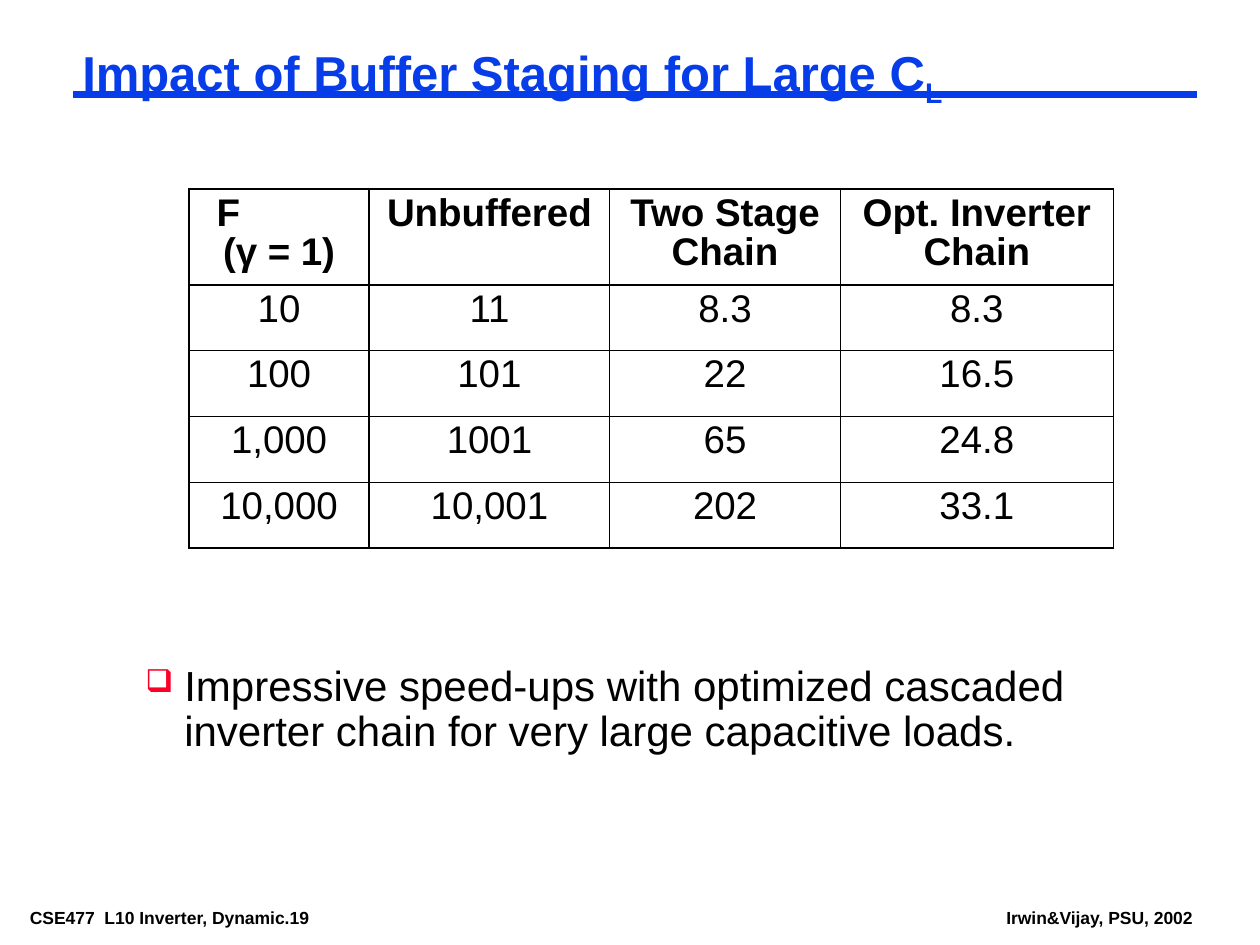
from dataclasses import dataclass
from typing import Optional

from lxml.etree import SubElement
from pptx import Presentation
from pptx.dml.color import RGBColor
from pptx.enum.shapes import MSO_CONNECTOR
from pptx.enum.text import MSO_ANCHOR, PP_ALIGN
from pptx.oxml.ns import qn
from pptx.util import Inches, Pt

BLUE = RGBColor(0x06, 0x3D, 0xE8)
RED = RGBColor(0xFC, 0x01, 0x28)
BLACK = RGBColor(0x00, 0x00, 0x00)
FONT = "Arial"

# The slide is a grid of 120 columns by 90 rows of square units
UNIT = Inches(10) / 120
THICK, THIN = Pt(1.08), Pt(0.45)

HEADERS = ["F\n(γ = 1)", "Unbuffered", "Two Stage Chain", "Opt. Inverter Chain"]
RESULTS = [
    ["10", "11", "8.3", "8.3"],
    ["100", "101", "22", "16.5"],
    ["1,000", "1001", "65", "24.8"],
    ["10,000", "10,001", "202", "33.1"],
]
COLUMN_UNITS = [17.16, 22.92, 21.96, 26]
HEADER_UNITS, RESULT_UNITS = 9.12, 6.26


@dataclass
class TextItem:
    column: float
    row: float
    columns: float
    rows: float
    text: str
    size: float
    color: RGBColor = BLACK
    bold: bool = True
    wrap: bool = True
    spacing: Optional[float] = None
    anchor: MSO_ANCHOR = MSO_ANCHOR.TOP
    subscript: str = ""
    bullet: str = ""


ITEMS = [
    TextItem(2, 86, 34.5, 2.7, "CSE477  L10 Inverter, Dynamic.19", 10, wrap=False),
    TextItem(95, 86, 19.5, 2.7, "Irwin&Vijay, PSU, 2002", 10, wrap=False),
    TextItem(7, 4, 107, 6.2, "Impact of Buffer Staging for Large C", 28, BLUE,
             spacing=0.87, anchor=MSO_ANCHOR.BOTTOM, subscript="L"),
    TextItem(13, 63, 96, 9.4,
             "Impressive speed-ups with optimized cascaded inverter chain "
             "for very large capacitive loads.", 24, bold=False,
             spacing=0.9, bullet="❑"),
]


def units(count: float) -> int:
    return round(count * UNIT)


def add_run(paragraph, text: str, size: float, color: RGBColor, bold: bool):
    run = paragraph.add_run()
    run.text = text
    font = run.font
    font.name, font.size, font.bold = FONT, Pt(size), bold
    font.color.rgb = color
    return run


def add_bullet(paragraph, character: str) -> None:
    properties = paragraph._p.get_or_add_pPr()
    indent = Inches(0.31)
    properties.set("marL", str(indent))
    properties.set("indent", str(-indent))
    color = SubElement(properties, qn("a:buClr"))
    SubElement(color, qn("a:srgbClr"), val=str(RED))
    SubElement(properties, qn("a:buSzPct"), val="75000")
    SubElement(properties, qn("a:buChar"), char=character)


def add_text(slide, item: TextItem) -> None:
    shape = slide.shapes.add_textbox(units(item.column), units(item.row),
                                     units(item.columns), units(item.rows))
    frame = shape.text_frame
    frame.word_wrap = item.wrap
    frame.vertical_anchor = item.anchor
    frame.margin_left = frame.margin_right = Inches(0.07)
    frame.margin_top = frame.margin_bottom = Inches(0.03)
    paragraph = frame.paragraphs[0]
    if item.bullet:
        add_bullet(paragraph, item.bullet)
    if item.spacing:
        paragraph.line_spacing = item.spacing
    add_run(paragraph, item.text, item.size, item.color, item.bold)
    if item.subscript:
        run = add_run(paragraph, item.subscript, item.size, item.color, item.bold)
        run.font._element.set("baseline", "-25000")


def add_rule(slide) -> None:
    rule = slide.shapes.add_connector(MSO_CONNECTOR.STRAIGHT, units(7), units(9),
                                      units(114), units(9))
    rule.line.color.rgb = BLUE
    rule.line.width = Pt(4.5)
    SubElement(rule._element.spPr, qn("a:effectLst"))


def set_borders(cell, widths: dict[str, int]) -> None:
    properties = cell._tc.get_or_add_tcPr()
    for side, width in widths.items():
        line = SubElement(properties, qn(f"a:ln{side}"), w=str(width))
        fill = SubElement(line, qn("a:solidFill"))
        SubElement(fill, qn("a:srgbClr"), val=str(BLACK))


def fill_cell(cell, text: str, bold: bool) -> None:
    frame = cell.text_frame
    lines = text.split("\n")
    for index, line in enumerate(lines):
        paragraph = frame.add_paragraph() if index else frame.paragraphs[0]
        paragraph.line_spacing = 0.9
        paragraph.alignment = PP_ALIGN.CENTER
        # The upper line of a two-line heading hangs at the left
        if index < len(lines) - 1:
            paragraph.alignment = PP_ALIGN.LEFT
            paragraph._p.get_or_add_pPr().set("marL", str(Inches(0.12)))
        add_run(paragraph, line, 22, BLACK, bold)


def add_results_table(slide) -> None:
    rows = [HEADERS, *RESULTS]
    heights = [HEADER_UNITS] + [RESULT_UNITS] * len(RESULTS)
    frame = slide.shapes.add_table(len(rows), len(HEADERS), units(18), units(18),
                                   units(sum(COLUMN_UNITS)), units(sum(heights)))
    table = frame.table
    table.first_row = table.horz_banding = False
    for column, width in zip(table.columns, COLUMN_UNITS):
        column.width = units(width)
    for row, height in zip(table.rows, heights):
        row.height = units(height)

    # Outer edges, the heading and the first column have thick lines
    def edge(index: int, last: int) -> int:
        return THICK if index in (0, 1, last) else THIN

    for r, texts in enumerate(rows):
        for c, text in enumerate(texts):
            cell = table.cell(r, c)
            fill_cell(cell, text, bold=r == 0)
            set_borders(cell, {
                "L": edge(c, len(HEADERS)), "R": edge(c + 1, len(HEADERS)),
                "T": edge(r, len(rows)), "B": edge(r + 1, len(rows)),
            })
            cell.fill.background()


def main() -> None:
    presentation = Presentation()
    presentation.slide_width = units(120)
    presentation.slide_height = units(90)
    slide = presentation.slides.add_slide(presentation.slide_layouts[6])
    # Rule below the title
    add_rule(slide)
    # Footers, title and conclusion
    for item in ITEMS:
        add_text(slide, item)
    # Delay figures
    add_results_table(slide)
    presentation.save("out.pptx")


if __name__ == "__main__":
    main()
